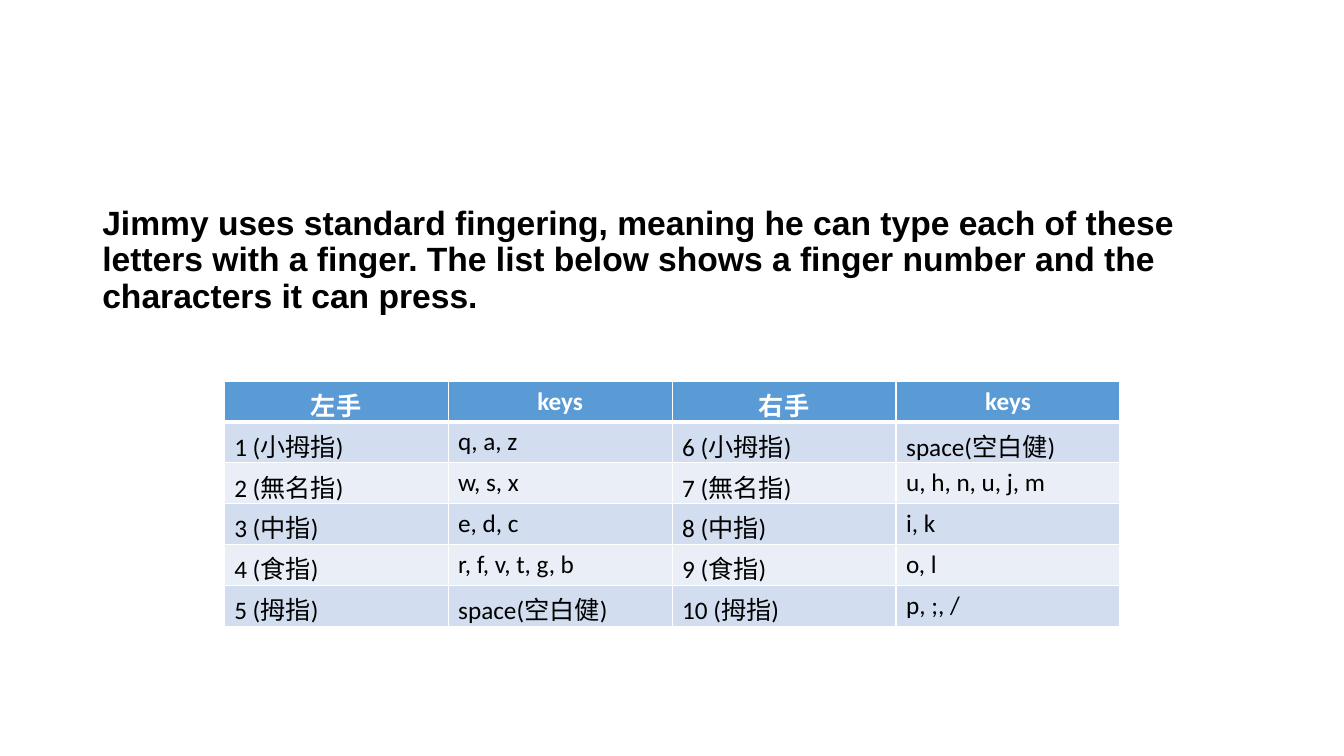
from dataclasses import dataclass

from lxml.etree import SubElement
from pptx import Presentation
from pptx.dml.color import RGBColor
from pptx.enum.text import PP_ALIGN
from pptx.oxml.ns import qn
from pptx.util import Cm, Pt


@dataclass(frozen=True)
class Theme:
    text: str = "000000"
    light: str = "FFFFFF"
    header: str = "5B9BD5"
    bands: tuple = ("D2DEEF", "EAEFF7")
    intro_font: str = "Arial"
    table_font: str = "Calibri"
    intro_size: int = 24
    table_size: int = 18
    thin_line: int = 1
    thick_line: int = 3


@dataclass(frozen=True)
class Box:
    left: float
    top: float
    width: float
    height: float

    def lengths(self):
        return Cm(self.left), Cm(self.top), Cm(self.width), Cm(self.height)


THEME = Theme()
INTRO = (
    "Jimmy uses standard fingering, meaning he can type each of these letters "
    "with a finger. The list below shows a finger number and the characters "
    "it can press."
)
FINGER_KEYS = [
    ("左手", "keys", "右手", "keys"),
    ("1 (小拇指)", "q, a, z", "6 (小拇指)", "space(空白健)"),
    ("2 (無名指)", "w, s, x", "7 (無名指)", "u, h, n, u, j, m"),
    ("3 (中指)", "e, d, c", "8 (中指)", "i, k"),
    ("4 (食指)", "r, f, v, t, g, b", "9 (食指)", "o, l"),
    ("5 (拇指)", "space(空白健)", "10 (拇指)", "p, ;, /"),
]


def style_font(font, name, size, color, bold):
    font.name = name
    font.size = Pt(size)
    font.color.rgb = RGBColor.from_string(color)
    font.bold = bold


def add_intro(page, box):
    frame = page.shapes.add_textbox(*box.lengths()).text_frame
    frame.word_wrap = True
    para = frame.paragraphs[0]
    para.text = INTRO
    para.line_spacing = 0.9
    para.space_before = Pt(10)
    style_font(para.font, THEME.intro_font, THEME.intro_size, THEME.text, True)


def set_borders(cell, top, bottom):
    """Draw the cell's four borders; call before the fill is set."""
    properties = cell._tc.get_or_add_tcPr()
    sides = {"L": THEME.thin_line, "R": THEME.thin_line, "T": top, "B": bottom}
    for side, points in sides.items():
        line = SubElement(properties, qn(f"a:ln{side}"), w=str(Pt(points)))
        fill = SubElement(line, qn("a:solidFill"))
        SubElement(fill, qn("a:srgbClr"), val=THEME.light)


def fill_cell(cell, text, row):
    is_header = row == 0
    set_borders(
        cell,
        top=THEME.thick_line if row == 1 else THEME.thin_line,
        bottom=THEME.thick_line if is_header else THEME.thin_line,
    )
    cell.fill.solid()
    color = THEME.header if is_header else THEME.bands[(row - 1) % 2]
    cell.fill.fore_color.rgb = RGBColor.from_string(color)
    para = cell.text_frame.paragraphs[0]
    para.text = text
    para.alignment = PP_ALIGN.CENTER if is_header else PP_ALIGN.LEFT
    style_font(para.font, THEME.table_font, THEME.table_size,
               THEME.light if is_header else THEME.text, is_header)


def add_finger_table(page, box):
    table = page.shapes.add_table(
        len(FINGER_KEYS), len(FINGER_KEYS[0]), *box.lengths()
    ).table
    for row, texts in enumerate(FINGER_KEYS):
        for column, text in enumerate(texts):
            fill_cell(table.cell(row, column), text, row)


def main():
    deck = Presentation()
    deck.slide_width, deck.slide_height = Cm(33.87), Cm(19.05)
    page = deck.slides.add_slide(deck.slide_layouts[6])
    add_intro(page, Box(2.33, 5.08, 29.21, 12.09))
    add_finger_table(page, Box(5.65, 9.6, 22.58, 6.18))
    deck.save("out.pptx")


if __name__ == "__main__":
    main()
